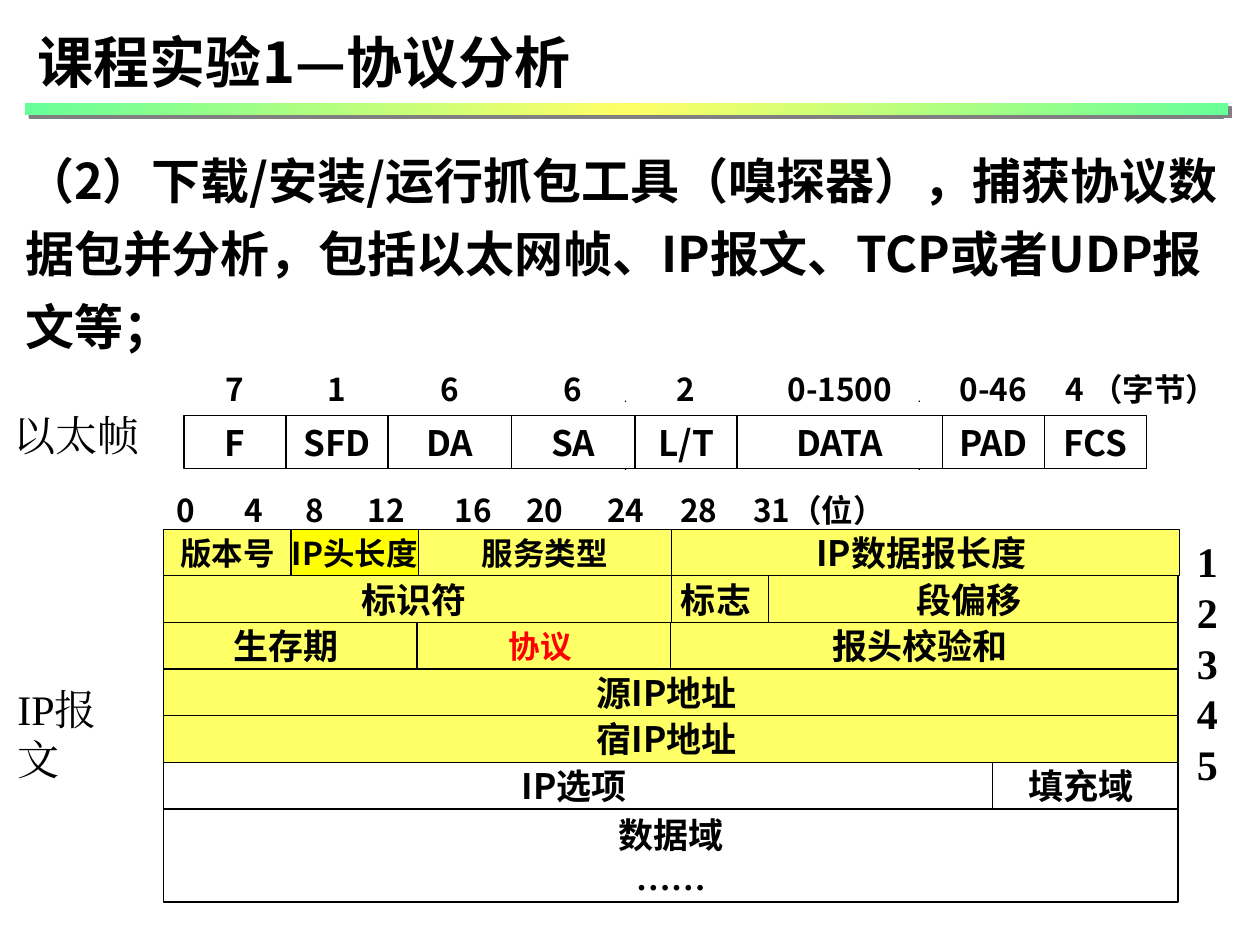
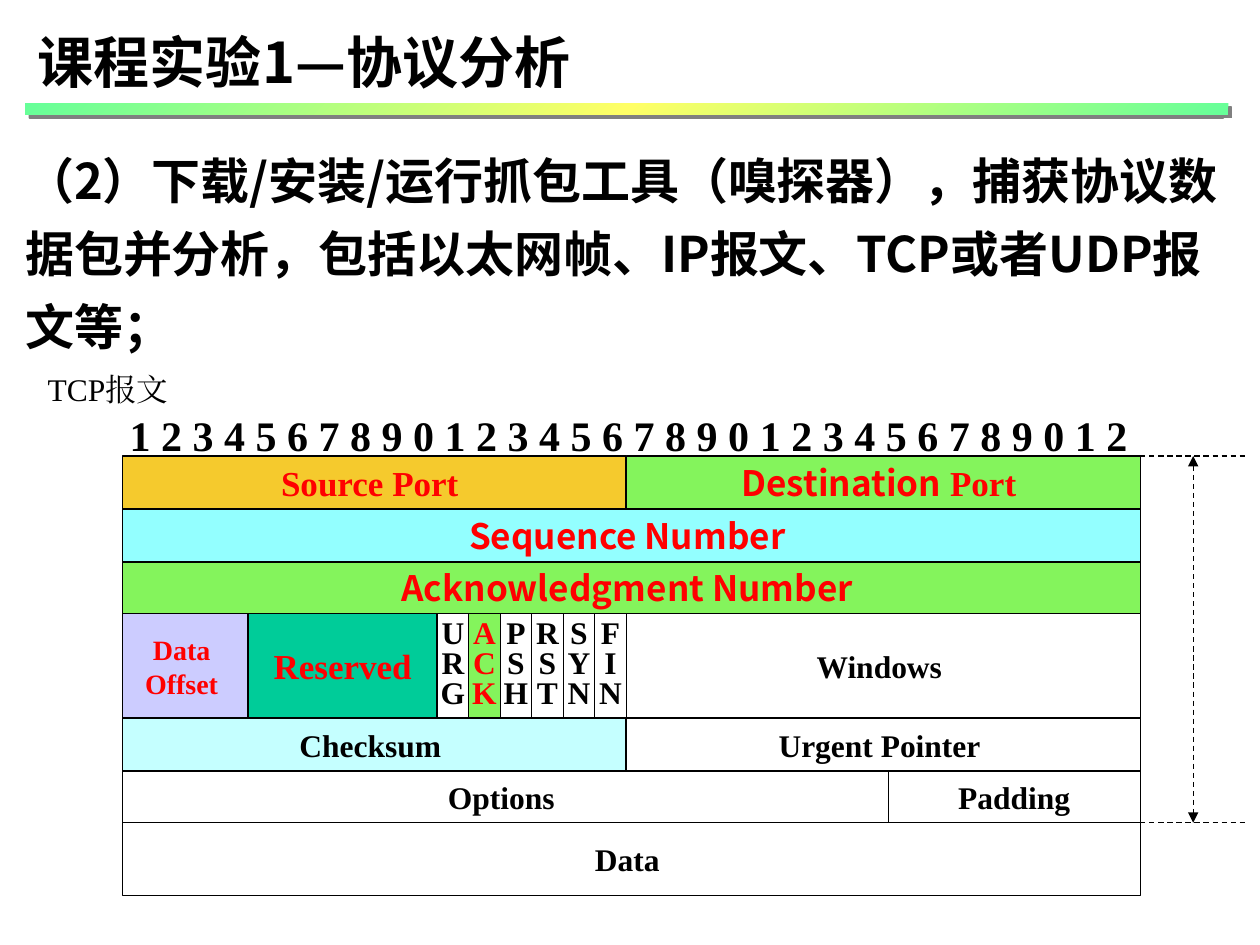
import copy
from dataclasses import dataclass

import lxml.etree
import pptx
import pptx.dml.color
import pptx.enum.dml
import pptx.enum.shapes
import pptx.enum.text
import pptx.oxml.ns
import pptx.util

Inches = pptx.util.Inches
Pt = pptx.util.Pt
RGBColor = pptx.dml.color.RGBColor
qn = pptx.oxml.ns.qn
ALIGN = pptx.enum.text.PP_ALIGN
ANCHOR = pptx.enum.text.MSO_ANCHOR
RECT = pptx.enum.shapes.MSO_SHAPE.RECTANGLE

SANS = "Noto Sans CJK SC"
SERIF = "Times New Roman"

BLACK = RGBColor(0x00, 0x00, 0x00)
WHITE = RGBColor(0xFF, 0xFF, 0xFF)
RED = RGBColor(0xFF, 0x00, 0x00)
MINT = RGBColor(0x66, 0xFF, 0x99)
PALE_YELLOW = RGBColor(0xFF, 0xFF, 0x66)
YELLOW = RGBColor(0xFF, 0xFF, 0x00)
LILAC = RGBColor(0xCC, 0xCC, 0xFF)
TEAL = RGBColor(0x00, 0xCC, 0x99)
AMBER = RGBColor(0xF5, 0xCA, 0x2D)
GREEN = RGBColor(0x84, 0xF4, 0x5C)
CYAN = RGBColor(0x93, 0xFF, 0xFF)
PALE_CYAN = RGBColor(0xC5, 0xFF, 0xFF)

TITLE = "课程实验1—协议分析"
TASK = ("（2）下载/安装/运行抓包工具（嗅探器），捕获协议数据包并分析，"
        "包括以太网帧、IP报文、TCP或者UDP报文等；")


@dataclass
class Field:
    text: str
    width: float
    fill: RGBColor = None
    size: float = 20
    color: RGBColor = BLACK
    font: str = SANS
    serif_tail: str = ""
    spacing: float = None
    border: bool = True


def add_xml(parent, tag, **attrs):
    return lxml.etree.SubElement(parent, qn(tag), attrs)


def write(tf, pieces, size, color=BLACK, bold=True, align=ALIGN.LEFT, spacing=None):
    p = tf.paragraphs[0]
    for text, font in pieces:
        for i, line in enumerate(text.split("\n")):
            if i:
                p = tf.add_paragraph()
            if not line:
                continue
            r = p.add_run()
            r.text = line
            r.font.size = Pt(size)
            r.font.bold = bold
            r.font.color.rgb = color
            r.font.name = font
            add_xml(r._r.rPr, "a:ea", typeface=font)
    for p in tf.paragraphs:
        p.alignment = align
        p.space_before = Pt(0)
        if spacing:
            p.line_spacing = Pt(spacing)


def place(sp, left, top, width, height):
    sp.left, sp.top = Inches(left), Inches(top)
    sp.width, sp.height = Inches(width), Inches(height)


def fill_placeholder(sp, box, text, size, spacing):
    place(sp, *box)
    tf = sp.text_frame
    tf.auto_size = pptx.enum.text.MSO_AUTO_SIZE.NONE
    tf.word_wrap = True
    tf.vertical_anchor = ANCHOR.TOP
    write(tf, [(text, SANS)], size, spacing=spacing)


def add_rect(s, left, top, width, height, fill=None):
    sp = s.shapes.add_shape(RECT, Inches(left), Inches(top), Inches(width), Inches(height))
    sp.shadow.inherit = False
    if fill is None:
        sp.fill.background()
    else:
        sp.fill.solid()
        sp.fill.fore_color.rgb = fill
    sp.line.fill.background()
    return sp


def add_title_bar(s, left, top, width, height):
    sp = add_rect(s, left, top, width, height)
    sp.fill.gradient()
    sp.fill.gradient_angle = 315
    stops = sp.fill.gradient_stops
    for stop, color, position in zip(stops, (MINT, PALE_YELLOW), (0, 0.5)):
        stop.color.rgb = color
        stop.position = position
    gs_lst = sp._element.spPr.find(qn("a:gradFill")).find(qn("a:gsLst"))
    last = copy.deepcopy(gs_lst[0])
    last.set("pos", "100000")
    gs_lst.append(last)
    shadow = add_xml(sp._element.spPr.find(qn("a:effectLst")), "a:outerShdw",
                     dist=str(Pt(2.8)), dir="2700000", algn="ctr", rotWithShape="0")
    add_xml(shadow, "a:srgbClr", val="808080")


def add_label(s, left, top, width, height, text, size, font=SERIF, bold=False, wrap=True):
    sp = s.shapes.add_textbox(Inches(left), Inches(top), Inches(width), Inches(height))
    sp.text_frame.word_wrap = wrap
    write(sp.text_frame, [(text, font)], size, bold=bold, spacing=round(size * 1.21))
    return sp


def add_field_row(s, left, top, height, fields):
    for field in fields:
        sp = add_rect(s, left, top, field.width, height, field.fill)
        if field.border:
            sp.line.color.rgb = BLACK
            sp.line.width = Pt(0.75)
        tf = sp.text_frame
        tf.word_wrap = False
        tf.vertical_anchor = ANCHOR.MIDDLE
        write(tf, [(field.text, field.font), (field.serif_tail, SERIF)], field.size,
              field.color, align=ALIGN.CENTER, spacing=field.spacing)
        left += field.width


def add_dashed_line(s, x1, y1, x2, y2, arrows=False):
    cx = s.shapes.add_connector(pptx.enum.shapes.MSO_CONNECTOR.STRAIGHT,
                                Inches(x1), Inches(y1), Inches(x2), Inches(y2))
    cx.line.color.rgb = BLACK
    cx.line.width = Pt(0.75)
    cx.line.dash_style = pptx.enum.dml.MSO_LINE.DASH
    if arrows:
        for end in ("a:headEnd", "a:tailEnd"):
            add_xml(cx.line._ln, end, type="triangle")
    add_xml(cx._element.spPr, "a:effectLst")


def add_task_slide(prs):
    s = prs.slides.add_slide(prs.slide_layouts[1])
    body = s.placeholders[1]
    fill_placeholder(body, (0.1, 1.03, 9.82, 1.79), TASK, 28, 41.75)
    pPr = body.text_frame.paragraphs[0]._p.get_or_add_pPr()
    pPr.set("marL", "0")
    pPr.set("indent", "0")
    add_xml(pPr, "a:buNone")
    fill_placeholder(s.shapes.title, (0.2, 0.16, 7.15, 0.64), TITLE, 32, 39)
    add_title_bar(s, 0.2, 0.82, 9.55, 0.09)
    return s


def add_ethernet_frame(s, left, top):
    height = 0.42
    names = ["F", "SFD", "DA", "SA", "L/T", "DATA", "PAD", "FCS"]
    sizes = ["7", "1", "6", "6", "2", "0-1500", "0-46", "4 （字节）"]
    widths = [0.81, 0.81, 0.98, 0.98, 0.81, 1.63, 0.81, 0.81]
    for y in (top - 0.12, top + height):
        for x in (left + 3.5, left + 5.83):
            add_rect(s, x, y, 0.01, 0.01, BLACK)
    add_field_row(s, left, top, height, [Field(n, w) for n, w in zip(names, widths)])
    add_field_row(s, left, top - height, height,
                  [Field(n, w, size=18, border=False)
                   for n, w in zip(sizes, widths[:-1] + [1.54])])
    add_label(s, left - 1.45, top - 0.1, 1.21, 0.5, "以太帧", 24, wrap=False)


def add_ip_packet(s, left, top):
    row, full, half, quarter, eighth = 0.37, 8.05, 4.03, 2.01, 1.01
    header = [
        [Field("版本号", eighth, PALE_YELLOW, 18), Field("IP头长度", eighth, YELLOW, 18),
         Field("服务类型", quarter, PALE_YELLOW, 18),
         Field("IP数据报长度 ", half, PALE_YELLOW)],
        [Field("标识符 ", half, PALE_YELLOW), Field("标志 ", 0.77, PALE_YELLOW),
         Field("段偏移 ", 3.25, PALE_YELLOW)],
        [Field("生存期 ", quarter, PALE_YELLOW), Field("协议 ", quarter, PALE_YELLOW, 18, RED),
         Field("报头校验和 ", half, PALE_YELLOW)],
        [Field("源IP地址 ", full, PALE_YELLOW)],
        [Field("宿IP地址 ", full, PALE_YELLOW)],
        [Field("IP选项 ", 6.58), Field("填充域 ", 1.47)],
    ]
    for i, fields in enumerate(header):
        add_field_row(s, left, top + i * row, row, fields)
    add_field_row(s, left, top + len(header) * row, 2 * row,
                  [Field("数据域", full, serif_tail="\n……")])
    add_label(s, left + 8.1, top, 0.34, 1.86, "1\n2\n3\n4\n5", 24, bold=True)
    add_label(s, left - 1.26, top + 1.17, 1.1, 0.9, "IP报\n文", 24)
    add_bit_ruler(s, left, top - 0.37)


def add_bit_ruler(s, left, top):
    stops = [0.54, 1.03, 1.52, 2.21, 2.78, 3.42, 4, 4.58]
    sp = s.shapes.add_textbox(Inches(left), Inches(top), Inches(8.13), Inches(0.44))
    tf = sp.text_frame
    tf.word_wrap = True
    tf.vertical_anchor = ANCHOR.MIDDLE
    write(tf, [("0\t4\t8\t12\t16\t20\t24\t28\t31（位）", SANS)], 18)
    tabs = add_xml(tf.paragraphs[0]._p.get_or_add_pPr(), "a:tabLst")
    for stop in stops:
        add_xml(tabs, "a:tab", pos=str(Inches(stop)), algn="l")


def add_tcp_segment(s, left, top):
    bit, width = 0.25, 8.08
    half = 16 * bit
    rest = width - half

    def serif(text, w, fill=None, size=18, color=BLACK, spacing=None):
        return Field(text, w, fill, size, color, SERIF, spacing=spacing)

    flags = [serif("\n".join(name), bit, GREEN if name == "ACK" else None,
                   color=RED if name == "ACK" else BLACK, spacing=17)
             for name in ("URG", "ACK", "PSH", "RST", "SYN", "FIN")]
    rows = [
        (0.42, [serif("Source Port ", half, AMBER, 20, RED),
                Field("Destination", rest, GREEN, color=RED, serif_tail=" Port ")]),
        (0.42, [Field("Sequence Number ", width, CYAN, color=RED)]),
        (0.41, [Field("Acknowledgment Number ", width, GREEN, color=RED)]),
        (0.83, [serif("Data \nOffset ", 4 * bit, LILAC, 16, RED, 19.5),
                serif("Reserved", 6 * bit, TEAL, 20, RED),
                *flags, serif("Windows ", rest, WHITE)]),
        (0.42, [serif("Checksum ", half, PALE_CYAN), serif("Urgent Pointer ", rest)]),
        (0.41, [serif("Options ", 6.08), serif("Padding", 2)]),
        (0.58, [serif("Data ", width, WHITE)]),
    ]
    y = top
    for height, fields in rows:
        add_field_row(s, left, y, height, fields)
        y += height
    header_bottom = y - rows[-1][0]
    digits = " ".join(str(i % 10) for i in range(1, 33))
    add_label(s, left - 0.04, top - 0.42, 8.2, 0.5, digits, 24, bold=True, wrap=False)
    right = left + width
    for edge in (top, header_bottom):
        add_dashed_line(s, right, edge, right + 0.83, edge)
    add_dashed_line(s, right + 0.42, top, right + 0.42, header_bottom, arrows=True)


def main():
    prs = pptx.Presentation()
    prs.slide_width, prs.slide_height = Inches(10), Inches(7.5)

    s = add_task_slide(prs)
    add_ethernet_frame(s, 1.46, 3.3)
    add_ip_packet(s, 1.3, 4.2)

    s = add_task_slide(prs)
    add_label(s, 0.28, 2.88, 2.22, 0.4, "TCP报文", 18)
    add_tcp_segment(s, 0.97, 3.62)

    prs.save("out.pptx")


if __name__ == "__main__":
    main()
